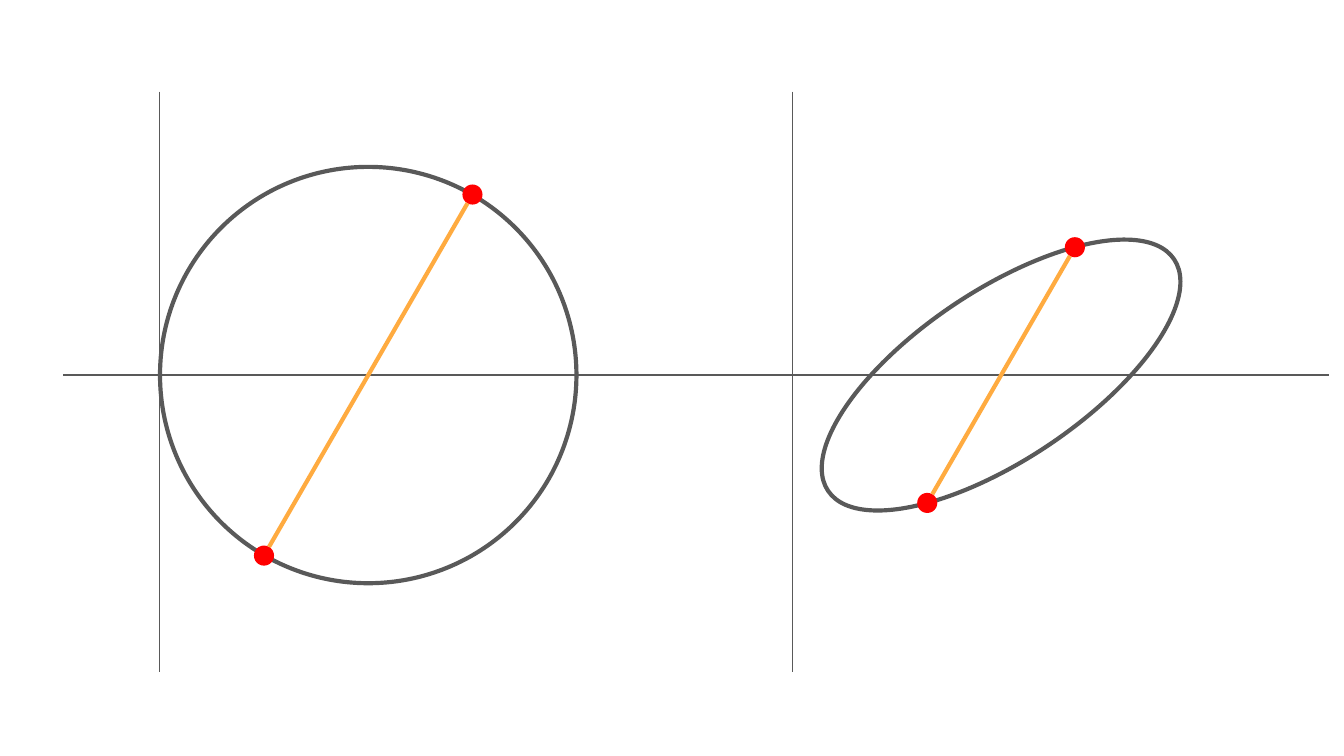
from dataclasses import dataclass
from math import cos, radians, sin

from lxml.etree import SubElement
from pptx import Presentation
from pptx.dml.color import RGBColor
from pptx.enum.shapes import MSO_CONNECTOR as Connector, MSO_SHAPE as Shape
from pptx.oxml.ns import qn
from pptx.shapes.autoshape import Shape as AutoShape
from pptx.slide import Slide
from pptx.util import Cm, Pt

GRAY = "595959"
RED = "FF0000"
ORANGE = "FFAB40"

CENTER_Y = 7.09
AXIS_TOP, AXIS_BOTTOM = 1.73, 12.7
AXIS_LEFT, AXIS_RIGHT = -5.76, 6.19
VERTICAL_AXIS = -3.94
DOT_RADIUS = 0.19
CHORD_ANGLE = 60


@dataclass
class Panel:
    center_x: float
    width: float
    height: float
    rotation: float
    chord_radius: float


PANELS = [
    Panel(18.92, 7.87, 3.2, 326.2, 2.79),
    Panel(6.96, 7.87, 7.87, 0, 3.94),
]


def rgb(color: str) -> RGBColor:
    return RGBColor.from_string(color)


def add_ellipse(slide: Slide, x: float, y: float, width: float, height: float,
                rotation: float) -> AutoShape:
    ellipse = slide.shapes.add_shape(
        Shape.OVAL, Cm(x - width / 2), Cm(y - height / 2), Cm(width), Cm(height))
    ellipse.rotation = rotation
    ellipse.shadow.inherit = False
    return ellipse


def add_curve(slide: Slide, panel: Panel) -> None:
    curve = add_ellipse(slide, panel.center_x, CENTER_Y,
                        panel.width, panel.height, panel.rotation)
    curve.fill.background()
    curve.line.color.rgb = rgb(GRAY)
    curve.line.width = Pt(2.25)


def add_dot(slide: Slide, x: float, y: float) -> None:
    dot = add_ellipse(slide, x, y, 2 * DOT_RADIUS, 2 * DOT_RADIUS, 90 - CHORD_ANGLE)
    dot.fill.solid()
    dot.fill.fore_color.rgb = rgb(RED)
    dot.line.fill.background()


def add_line(slide: Slide, start: tuple[float, float], end: tuple[float, float],
             color: str, width: float) -> None:
    line = slide.shapes.add_connector(
        Connector.STRAIGHT, Cm(start[0]), Cm(start[1]), Cm(end[0]), Cm(end[1]))
    line.line.color.rgb = rgb(color)
    line.line.width = Pt(width)
    SubElement(line._element.spPr, qn("a:effectLst"))


def chord_point(panel: Panel, radius: float) -> tuple[float, float]:
    angle = radians(CHORD_ANGLE)
    return panel.center_x + radius * cos(angle), CENTER_Y - radius * sin(angle)


def draw_panel(slide: Slide, panel: Panel) -> None:
    add_curve(slide, panel)
    for radius in (-panel.chord_radius, panel.chord_radius):
        add_dot(slide, *chord_point(panel, radius))

    axis_x = panel.center_x + VERTICAL_AXIS
    add_line(slide, (panel.center_x + AXIS_LEFT, CENTER_Y),
             (panel.center_x + AXIS_RIGHT, CENTER_Y), GRAY, 0.75)
    add_line(slide, (axis_x, AXIS_TOP), (axis_x, AXIS_BOTTOM), GRAY, 0.75)

    reach = panel.chord_radius - DOT_RADIUS
    add_line(slide, chord_point(panel, reach), chord_point(panel, -reach), ORANGE, 2.25)


def main() -> None:
    presentation = Presentation()
    presentation.slide_width = Cm(25.4)
    presentation.slide_height = Cm(14.29)
    slide = presentation.slides.add_slide(presentation.slide_layouts[6])
    for panel in PANELS:
        draw_panel(slide, panel)
    presentation.save("out.pptx")


if __name__ == "__main__":
    main()
